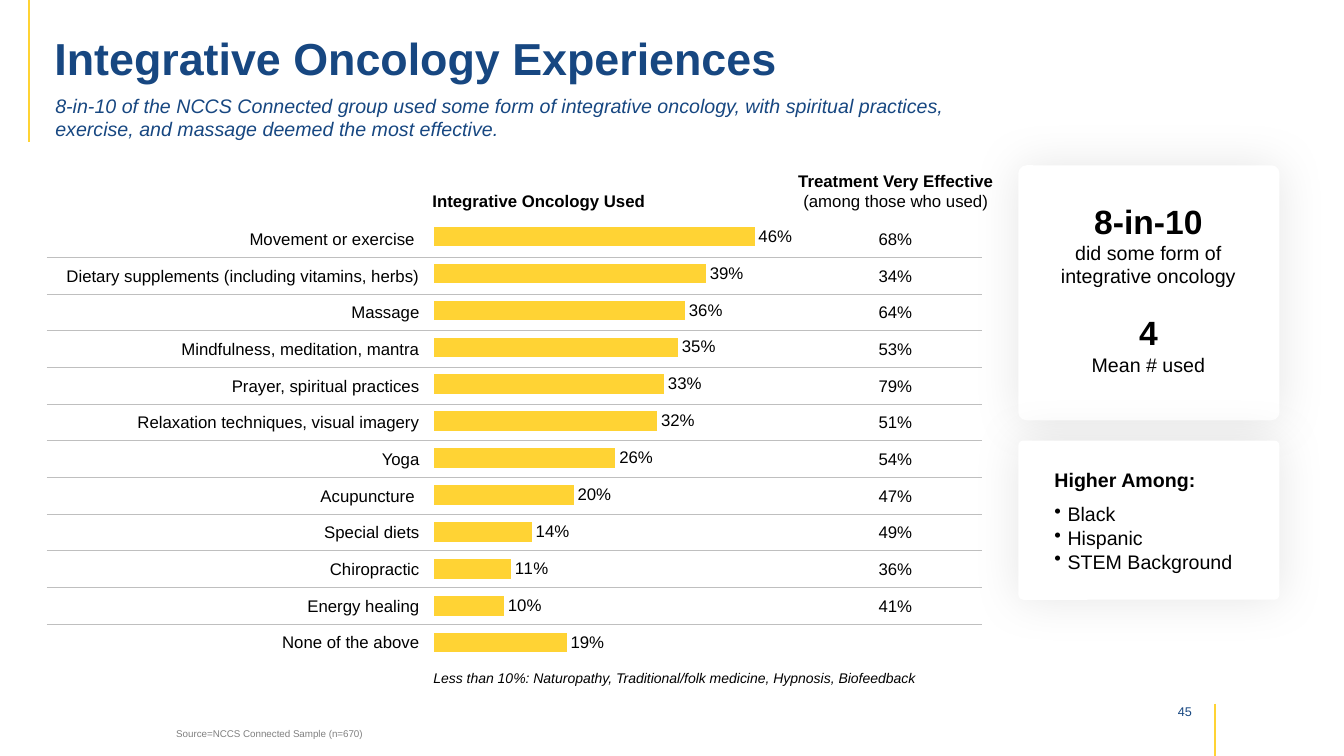
import dataclasses
import typing

import lxml.etree
import pptx
import pptx.chart.data
import pptx.dml.color
import pptx.enum.chart
import pptx.enum.shapes
import pptx.enum.text
import pptx.oxml.ns
import pptx.util

Inches = pptx.util.Inches
Pt = pptx.util.Pt
qn = pptx.oxml.ns.qn
Align = pptx.enum.text.PP_ALIGN
Anchor = pptx.enum.text.MSO_ANCHOR


@dataclasses.dataclass(frozen=True)
class Theme:
    font: str = "Arial"
    navy: str = "174781"
    gold: str = "FFD334"
    black: str = "000000"
    white: str = "FFFFFF"
    rule: str = "BFBFBF"
    muted: str = "808080"
    title: float = 32
    figure: float = 24
    lead: float = 14
    body: float = 12
    note: float = 10
    number: float = 9
    source: float = 7


THEME = Theme()


@dataclasses.dataclass(frozen=True)
class Line:
    text: str
    size: float = THEME.body
    color: str = THEME.black
    bold: bool = False
    italic: bool = False
    align: typing.Any = Align.LEFT
    after: float = 0
    bullet: bool = False


@dataclasses.dataclass(frozen=True)
class Block:
    box: tuple
    lines: tuple
    anchor: typing.Any = Anchor.TOP


@dataclasses.dataclass(frozen=True)
class Therapy:
    name: str
    used: float
    effective: str


THERAPIES = (
    Therapy("Movement or exercise ", 0.46, "68%"),
    Therapy("Dietary supplements (including vitamins, herbs)", 0.39, "34%"),
    Therapy("Massage", 0.36, "64%"),
    Therapy("Mindfulness, meditation, mantra", 0.35, "53%"),
    Therapy("Prayer, spiritual practices", 0.33, "79%"),
    Therapy("Relaxation techniques, visual imagery", 0.32, "51%"),
    Therapy("Yoga", 0.26, "54%"),
    Therapy("Acupuncture ", 0.20, "47%"),
    Therapy("Special diets", 0.14, "49%"),
    Therapy("Chiropractic", 0.11, "36%"),
    Therapy("Energy healing", 0.10, "41%"),
    Therapy("None of the above", 0.19, ""),
)
CENTER = Align.CENTER
BLOCKS = (
    Block((11.33, 6.93, 0.59, 0.25),
          (Line("45", THEME.number, THEME.navy, align=Align.RIGHT),)),
    Block((0.45, 0.88, 9.38, 0.88),
          (Line("8-in-10 of the NCCS Connected group used some form of integrative oncology, "
                "with spiritual practices, exercise, and massage deemed the most effective.",
                THEME.lead, THEME.navy, italic=True),)),
    Block((1.65, 7.17, 2.67, 0.22),
          (Line("Source=NCCS Connected Sample (n=670)", THEME.source, THEME.muted),)),
    Block((4.19, 1.64, 2.62, 0.5),
          (Line("Integrative Oncology Used", bold=True),), Anchor.BOTTOM),
    Block((4.2, 6.59, 6.36, 0.27),
          (Line("Less than 10%: Naturopathy, Traditional/folk medicine, Hypnosis, Biofeedback",
                THEME.note, italic=True),)),
    Block((7.67, 1.64, 2.43, 0.5),
          (Line("Treatment Very Effective", bold=True, align=CENTER),
           Line("(among those who used)", align=CENTER))),
    Block((10.15, 1.94, 2.48, 0.98),
          (Line("8-in-10", THEME.figure, bold=True, align=CENTER),
           Line("did some form of integrative oncology", THEME.lead, align=CENTER))),
    Block((10.15, 3.05, 2.48, 0.74),
          (Line("4", THEME.figure, bold=True, align=CENTER),
           Line("Mean # used", THEME.lead, align=CENTER))),
    Block((10.36, 4.59, 2.07, 1.16),
          (Line("Higher Among:", THEME.lead, bold=True, after=8),
           *(Line(group, THEME.lead, bullet=True)
             for group in ("Black", "Hispanic", "STEM Background")))),
)
CARDS = ((10.1, 1.64, 2.59, 2.53), (10.1, 4.37, 2.59, 1.58))
ACCENTS = ((0.29, 0, 0.29, 1.41), (12.05, 6.98, 12.05, 7.5))


def rgb(color: str) -> pptx.dml.color.RGBColor:
    return pptx.dml.color.RGBColor.from_string(color)


def assign(target: typing.Any, values: dict) -> None:
    for name, value in values.items():
        setattr(target, name, value)


def style_font(font: typing.Any, line: Line) -> None:
    assign(font, {"name": THEME.font, "size": Pt(line.size),
                  "bold": line.bold, "italic": line.italic})
    font.color.rgb = rgb(line.color)


def write_line(paragraph: typing.Any, line: Line) -> None:
    paragraph.text = line.text
    assign(paragraph, {"alignment": line.align, "space_before": Pt(0),
                       "space_after": Pt(line.after)})
    if line.bullet:
        properties = paragraph._p.get_or_add_pPr()
        properties.set("marL", str(Inches(0.13)))
        properties.set("indent", str(-Inches(0.13)))
        lxml.etree.SubElement(properties, qn("a:buChar"), char="•")
    style_font(paragraph.font, line)
    for run in paragraph.runs:
        style_font(run.font, line)


def add_block(slide: typing.Any, block: Block) -> None:
    frame = slide.shapes.add_textbox(*map(Inches, block.box)).text_frame
    assign(frame, {"word_wrap": True, "vertical_anchor": block.anchor})
    for index, line in enumerate(block.lines):
        write_line(frame.add_paragraph() if index else frame.paragraphs[0], line)


def add_title(slide: typing.Any) -> None:
    title = slide.shapes.title
    assign(title, {"left": Inches(0.44), "top": Inches(0.23),
                   "width": Inches(12.39), "height": Inches(0.76)})
    title.text_frame.vertical_anchor = Anchor.MIDDLE
    heading = title.text_frame.paragraphs[0]
    write_line(heading, Line("Integrative Oncology Experiences", THEME.title, THEME.navy, bold=True))
    heading.line_spacing = 0.9


def add_accent(slide: typing.Any, ends: tuple) -> None:
    accent = slide.shapes.add_connector(
        pptx.enum.shapes.MSO_CONNECTOR.STRAIGHT, *map(Inches, ends))
    accent.line.color.rgb = rgb(THEME.gold)
    accent.line.width = Pt(1.5)
    lxml.etree.SubElement(accent._element.spPr, qn("a:effectLst"))


def add_card(slide: typing.Any, box: tuple) -> None:
    card = slide.shapes.add_shape(
        pptx.enum.shapes.MSO_SHAPE.ROUNDED_RECTANGLE, *map(Inches, box))
    card.adjustments[0] = 0.032
    card.fill.solid()
    card.fill.fore_color.rgb = rgb(THEME.white)
    card.line.fill.background()
    card.shadow.inherit = False
    effects = card._element.spPr.find(qn("a:effectLst"))
    glow = lxml.etree.SubElement(effects, qn("a:outerShdw"), blurRad=str(Pt(34.9)),
                                 dist="0", dir="0", algn="ctr", rotWithShape="0")
    shade = lxml.etree.SubElement(glow, qn("a:srgbClr"), val=THEME.black)
    lxml.etree.SubElement(shade, qn("a:alpha"), val="10000")


def add_border(cell: typing.Any, side: str, color: str, width: float) -> None:
    border = lxml.etree.SubElement(cell._tc.get_or_add_tcPr(), qn(f"a:ln{side}"), w=str(Pt(width)))
    fill = lxml.etree.SubElement(border, qn("a:solidFill"))
    lxml.etree.SubElement(fill, qn("a:srgbClr"), val=color)


def add_therapy_table(slide: typing.Any) -> None:
    count = len(THERAPIES)
    table = slide.shapes.add_table(
        count, 3, *map(Inches, (0.47, 2.19, 9.26, 4.37))).table
    assign(table, {"first_row": False, "horz_banding": False})
    for column, width in zip(table.columns, (3.7, 3.86, 1.7)):
        column.width = Inches(width)
    edge, rule = (THEME.white, 1), (THEME.rule, 0.5)
    for index, therapy in enumerate(THERAPIES):
        entries = ((therapy.name, Align.RIGHT), ("", Align.LEFT), (therapy.effective, CENTER))
        for cell, (text, align) in zip(table.rows[index].cells, entries):
            assign(cell, {"vertical_anchor": Anchor.MIDDLE, "margin_left": Inches(0.01),
                          "margin_right": Inches(0.01), "margin_top": Inches(0.01),
                          "margin_bottom": 0})
            write_line(cell.text_frame.paragraphs[0], Line(text, align=align))
            borders = {"L": edge, "R": edge, "T": rule if index else edge,
                       "B": rule if index < count - 1 else edge}
            for side, (color, width) in borders.items():
                add_border(cell, side, color, width)
            cell.fill.background()


def add_usage_chart(slide: typing.Any) -> None:
    usage = pptx.chart.data.CategoryChartData(number_format="0%")
    usage.categories = [str(rank) for rank in range(1, len(THERAPIES) + 1)]
    usage.add_series("Series 1", [therapy.used for therapy in THERAPIES])
    chart = slide.shapes.add_chart(
        pptx.enum.chart.XL_CHART_TYPE.BAR_CLUSTERED,
        *map(Inches, (4.23, 2.07, 3.88, 4.63)), usage).chart
    assign(chart, {"has_legend": False, "has_title": False})
    style_font(chart.font, Line("", THEME.note))
    assign(chart.category_axis, {"reverse_order": True, "visible": False})
    assign(chart.value_axis, {"minimum_scale": 0, "maximum_scale": 0.5,
                              "has_major_gridlines": False, "visible": False})
    plot = chart.plots[0]
    assign(plot, {"gap_width": 90, "vary_by_categories": False, "has_data_labels": True})
    assign(plot.data_labels, {"show_value": True, "number_format": "0%",
                              "number_format_is_linked": False,
                              "position": pptx.enum.chart.XL_LABEL_POSITION.OUTSIDE_END})
    style_font(plot.data_labels.font, Line(""))
    bars = plot.series[0].format.fill
    bars.solid()
    bars.fore_color.rgb = rgb(THEME.gold)
    area = chart._chartSpace.chart.plotArea
    for stale in area.findall(qn("c:layout")):
        area.remove(stale)
    layout = lxml.etree.Element(qn("c:layout"))
    area.insert(0, layout)
    manual = lxml.etree.SubElement(layout, qn("c:manualLayout"))
    for tag, value in {"layoutTarget": "inner", "xMode": "edge", "yMode": "edge", "x": "0.02",
                       "y": "0.02", "w": "0.89", "h": "0.95"}.items():
        lxml.etree.SubElement(manual, qn(f"c:{tag}"), val=value)


def main() -> None:
    deck = pptx.Presentation()
    assign(deck, {"slide_width": Inches(13.33), "slide_height": Inches(7.5)})
    slide = deck.slides.add_slide(deck.slide_layouts[5])
    add_title(slide)
    for ends in ACCENTS:
        add_accent(slide, ends)
    add_therapy_table(slide)
    add_usage_chart(slide)
    for box in CARDS:
        add_card(slide, box)
    for block in BLOCKS:
        add_block(slide, block)
    deck.save("out.pptx")


if __name__ == "__main__":
    main()
